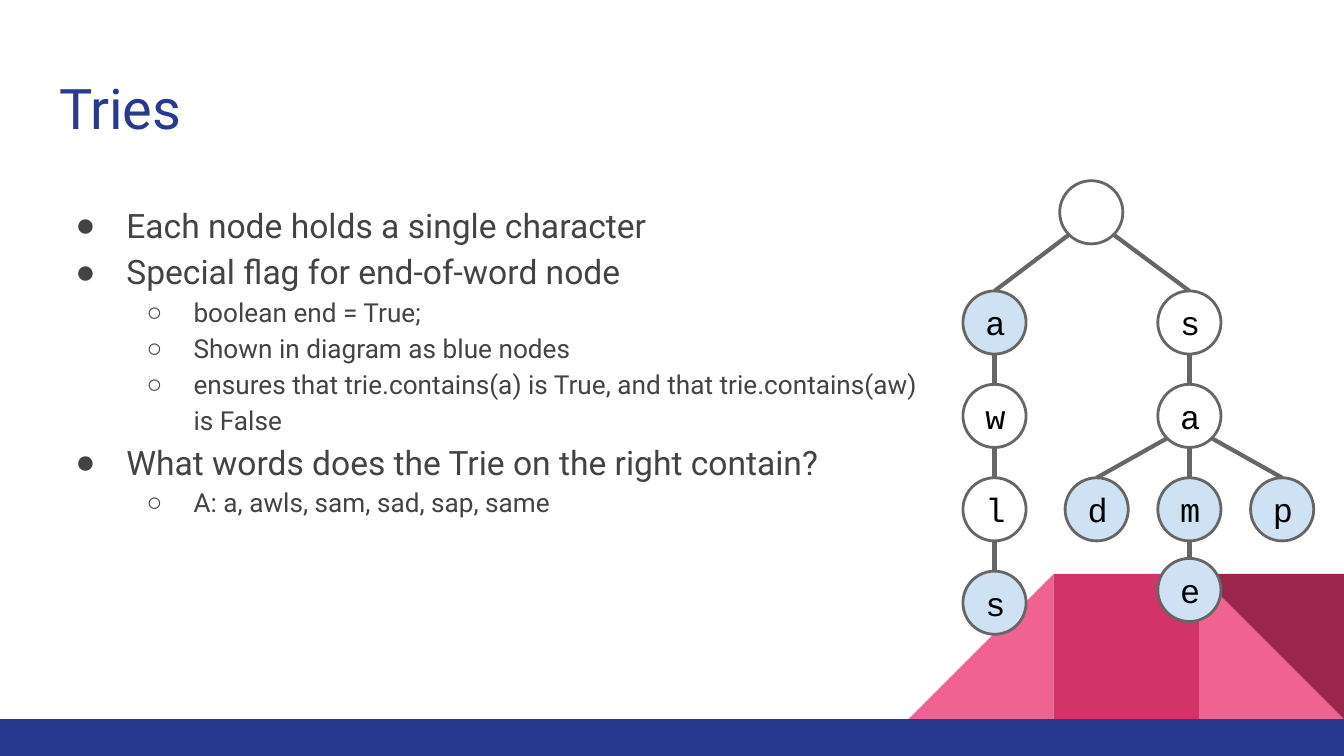
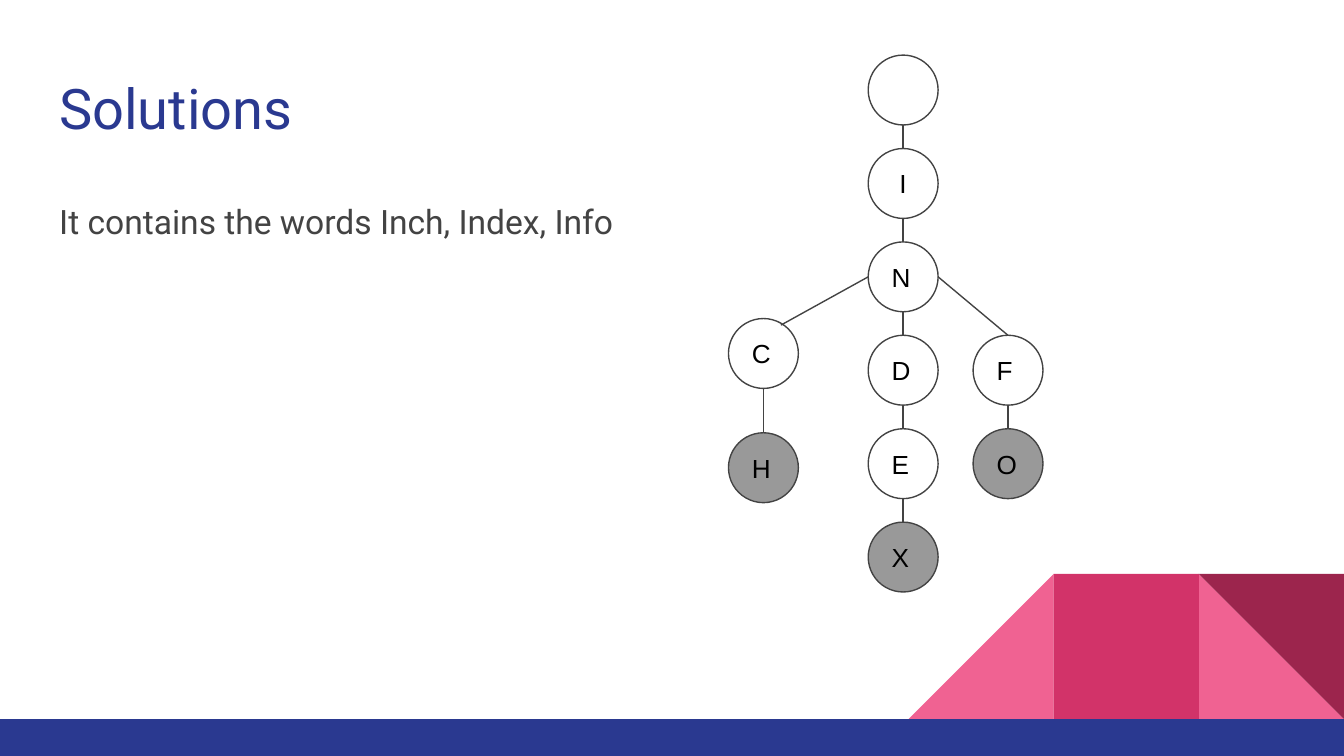
from lxml.etree import SubElement
from pptx import Presentation
from pptx.dml.color import RGBColor
from pptx.enum.shapes import MSO_CONNECTOR as Link, MSO_SHAPE as Kind
from pptx.enum.text import MSO_ANCHOR as Anchor, MSO_AUTO_SIZE as Fit, PP_ALIGN as Align
from pptx.oxml.ns import qn
from pptx.util import Inches, Pt

NAVY, INK, GREY, BLACK, WHITE = "2A3990", "434343", "666666", "000000", "FFFFFF"
PINK, ROSE, WINE = "F06292", "D23369", "9C254D"
BLUE, SHADE = "CFE2F3", "999999"
DIAG = 0.5 ** 0.5
# Where an edge meets a node, in radii from its centre
SIDES = {"t": (0, -1), "b": (0, 1), "l": (-1, 0), "r": (1, 0),
         "bl": (-DIAG, DIAG), "br": (DIAG, DIAG), "tr": (0.5, -0.81)}


def rgb(code):
    return RGBColor.from_string(code)


def style(para, font, size, color):
    para.font.name = font
    para.font.size = Pt(size)
    para.font.color.rgb = rgb(color)


def pad(frame, anchor):
    """Set the insets and the vertical anchor of a text frame."""
    frame.vertical_anchor = anchor
    frame.margin_left = frame.margin_right = Inches(0.1)
    frame.margin_top = frame.margin_bottom = Inches(0.1)


def bullet(para, mark, left, hang):
    """Give a paragraph its indents and a bullet, or none if mark is empty."""
    props = para._p.get_or_add_pPr()
    props.set("marL", str(Inches(left)))
    props.set("indent", str(Inches(-hang)))
    if mark:
        tint = SubElement(props, qn("a:buClr"))
        SubElement(tint, qn("a:srgbClr"), val=INK)
        SubElement(props, qn("a:buChar"), char=mark)
    else:
        SubElement(props, qn("a:buNone"))


class Deck:
    font = "Roboto"
    # mark, left indent, hanging indent, text size
    levels = [("●", 0.5, 0.38, 18), ("○", 1, 0.35, 14)]
    plain = ("", 0, 0, 18)

    def __init__(self):
        self.prs = Presentation()
        self.prs.slide_width = Inches(10)
        self.prs.slide_height = Inches(10 * 9 / 16)

    def start(self, title):
        """Add a slide with its title, corner pattern and bottom band."""
        self.slide = self.prs.slides.add_slide(self.prs.slide_layouts[1])
        self.shapes = self.slide.shapes
        size, top = 1.08, 4.27
        right = 10 - size
        self.shape(Kind.RIGHT_TRIANGLE, right, top, size, size, PINK)
        self.shape(Kind.RIGHT_TRIANGLE, right - 2 * size, top, size, size, PINK, turn=270)
        self.shape(Kind.RECTANGLE, right - size, top, size, size, ROSE)
        self.shape(Kind.RIGHT_TRIANGLE, right, top, size, size, WINE, turn=180)
        self.shape(Kind.RECTANGLE, 0, top + size, 10, 0.28, NAVY)
        frame = self.place(self.shapes.title, 0.34, 0.45, 9.32, 0.66)
        para = frame.paragraphs[0]
        para.text = title
        para.alignment = Align.LEFT
        style(para, self.font, 30, NAVY)

    def place(self, holder, left, top, width, height):
        """Move a placeholder and return its text frame."""
        holder.left, holder.top = Inches(left), Inches(top)
        holder.width, holder.height = Inches(width), Inches(height)
        frame = holder.text_frame
        frame.auto_size = Fit.NONE
        frame.word_wrap = True
        pad(frame, Anchor.TOP)
        return frame

    def body(self, box, items):
        """Fill the body with (level, text) items; level None has no bullet."""
        frame = self.place(self.slide.placeholders[1], *box)
        for i, (level, text) in enumerate(items):
            para = frame.add_paragraph() if i else frame.paragraphs[0]
            para.text = text
            para.level = level or 0
            mark, left, hang, size = self.plain if level is None else self.levels[level]
            bullet(para, mark, left, hang)
            para.line_spacing = 1.15
            para.space_before = Pt(0)
            style(para, self.font, size, INK)

    def shape(self, kind, left, top, width, height, fill=None, turn=0):
        item = self.shapes.add_shape(kind, Inches(left), Inches(top),
                                     Inches(width), Inches(height))
        item.shadow.inherit = False
        item.rotation = turn
        item.line.fill.background()
        if fill:
            item.fill.solid()
            item.fill.fore_color.rgb = rgb(fill)
        else:
            item.fill.background()
        return item

    def node(self, x, y, size, text, fill, line, font):
        """Draw a circle centred on x, y; line is (colour, width), font (name, size)."""
        item = self.shape(Kind.OVAL, x - size / 2, y - size / 2, size, size, fill)
        item.line.color.rgb = rgb(line[0])
        item.line.width = Pt(line[1])
        if text:
            pad(item.text_frame, Anchor.MIDDLE)
            para = item.text_frame.paragraphs[0]
            para.text = text
            para.alignment = Align.CENTER if text == "I" else Align.LEFT
            style(para, *font, BLACK)

    def edge(self, start, end, color, width):
        item = self.shapes.add_connector(Link.STRAIGHT, *map(Inches, start + end))
        item.line.color.rgb = rgb(color)
        item.line.width = Pt(width)
        SubElement(item._element.spPr, qn("a:effectLst"))

    def tree(self, nodes, edges, size, color, widths, font, base, flag):
        """Draw nodes {key: (x, y, text, ends word)} and edges (from, side, to, side)."""
        for x, y, text, ends in nodes.values():
            self.node(x, y, size, text, flag if ends else base, (color, widths[0]), font)

        def port(key, side):
            x, y = nodes[key][:2]
            dx, dy = SIDES[side]
            return x + dx * size / 2, y + dy * size / 2

        for a, out, b, into in edges:
            self.edge(port(a, out), port(b, into), color, widths[1])


def chain(*keys):
    """Link each key straight down to the next."""
    return [(a, "b", b, "t") for a, b in zip(keys, keys[1:])]


def tries(deck):
    deck.start("Tries")
    rows = [2.4 + 0.695 * i for i in range(4)]
    left, mid, gap = 7.4, 8.85, 0.69
    nodes = {
        "root": (8.12, 1.58, "", False),
        "s": (mid, rows[0], "s", False),
        "sa": (mid, rows[1], "a", False),
        "sam": (mid, rows[2], "m", True),
        "sad": (mid - gap, rows[2], "d", True),
        "sap": (mid + gap, rows[2], "p", True),
        "same": (mid, 4.39, "e", True),
    }
    word = "awls"
    for i, y in enumerate(rows):
        nodes[word[:i + 1]] = (left, y, word[i], word[i] in "as")
    edges = [("root", "bl", "a", "t"), ("root", "br", "s", "t"),
             ("sa", "bl", "sad", "t"), ("sa", "br", "sap", "t"),
             *chain("s", "sa", "sam", "same"), *chain("a", "aw", "awl", "awls")]
    deck.tree(nodes, edges, 0.47, GREY, (1.5, 2.25), ("Courier New", 18), WHITE, BLUE)
    deck.body((0.34, 1.38, 6.68, 3.61), [
        (0, "Each node holds a single character"),
        (0, "Special flag for end-of-word node"),
        (1, "boolean end = True;"),
        (1, "Shown in diagram as blue nodes"),
        (1, "ensures that trie.contains(a) is True, and that trie.contains(aw) is False"),
        (0, "What words does the Trie on the right contain?"),
        (1, "A: a, awls, sam, sad, sap, same"),
    ])


def answers(deck):
    deck.start("Solutions")
    deck.body((0.34, 1.35, 9.32, 3.65), [(None, "It contains the words Inch, Index, Info")])
    rows = [0.67 + 0.695 * i for i in range(6)]
    left, mid, right = 5.68, 6.72, 7.5
    nodes = {"root": (mid, rows[0], "", False)}
    for key, y in zip("INDEX", rows[1:]):
        nodes[key] = (mid, y, key, key == "X")
    nodes |= {
        "C": (left, 2.63, "C", False),
        "H": (left, 3.48, "H", True),
        "F": (right, rows[3], "F", False),
        "O": (right, rows[4], "O", True),
    }
    edges = [*chain("root", *"INDEX"), *chain("C", "H"), *chain("F", "O"),
             ("N", "l", "C", "tr"), ("N", "r", "F", "t")]
    deck.tree(nodes, edges, 0.52, INK, (0.75, 0.75), ("Arial", 14), None, SHADE)


def main():
    deck = Deck()
    tries(deck)
    answers(deck)
    deck.prs.save("out.pptx")


if __name__ == "__main__":
    main()
